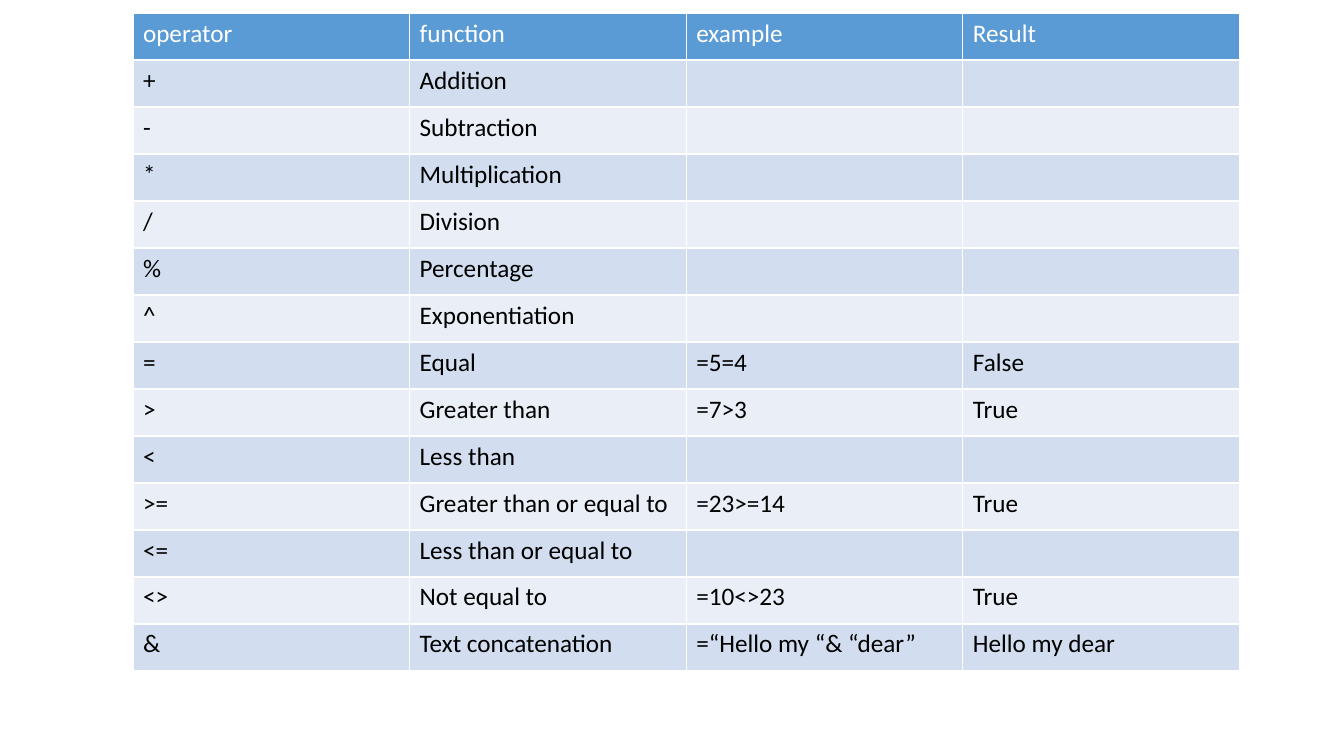
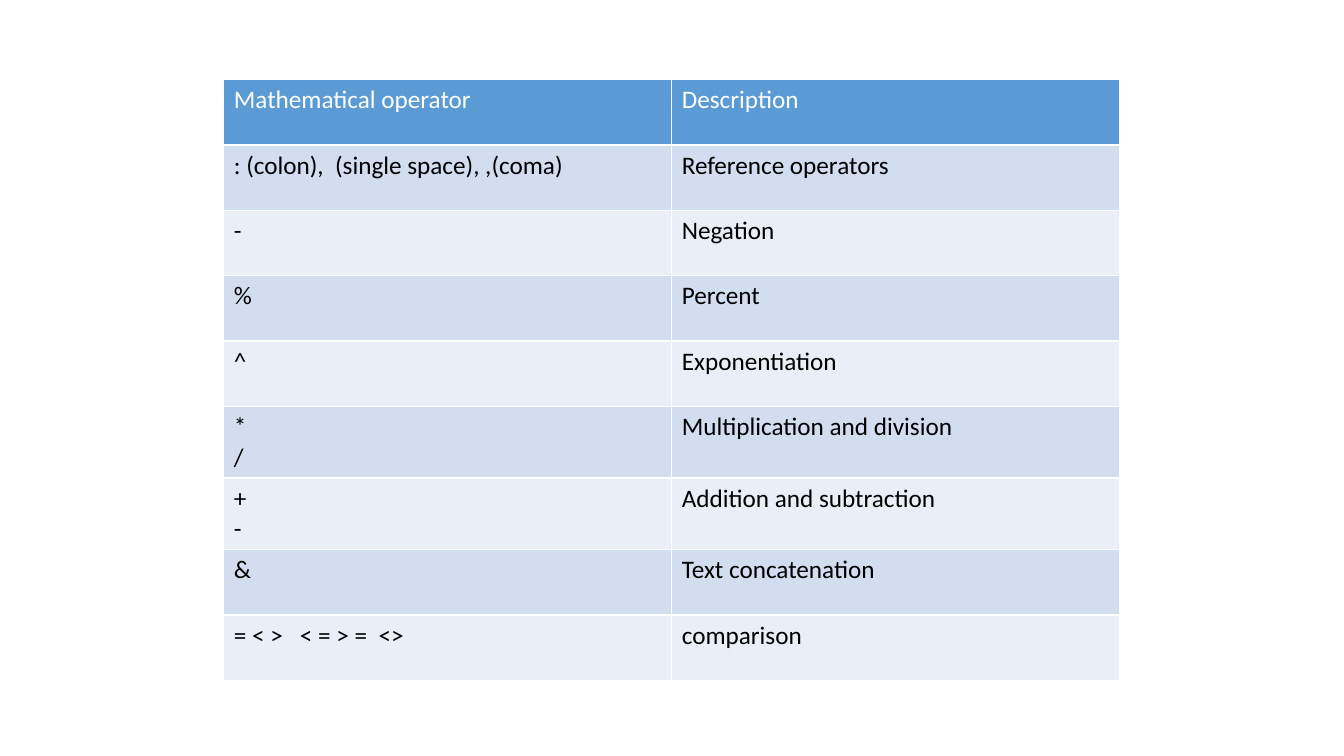
"""Build two slides with tables of spreadsheet operators."""
from pptx import Presentation
from pptx.dml.color import RGBColor
from pptx.util import Cm, Pt

BLANK_LAYOUT = 6

OPERATORS = [
    ("operator", "function", "example", "Result"),
    ("+", "Addition", "", ""),
    ("-", "Subtraction", "", ""),
    ("*", "Multiplication", "", ""),
    ("/", "Division", "", ""),
    ("%", "Percentage", "", ""),
    ("^", "Exponentiation", "", ""),
    ("=", "Equal", "=5=4", "False"),
    (">", "Greater than", "=7>3", "True"),
    ("<", "Less than", "", ""),
    (">=", "Greater than or equal to", "=23>=14", "True"),
    ("<=", "Less than or equal to", "", ""),
    ("<>", "Not equal to", "=10<>23", "True"),
    ("&", "Text concatenation", "=“Hello my “& “dear”", "Hello my dear"),
]

PRECEDENCE = [
    ("Mathematical operator", "Description"),
    (": (colon),  (single space), ,(coma)", "Reference operators"),
    ("-", "Negation"),
    ("%", "Percent"),
    ("^", "Exponentiation"),
    ("*\n/", "Multiplication and division"),
    ("+\n-", "Addition and subtraction"),
    ("&", "Text concatenation"),
    ("= < >   < = > =  <>", "comparison"),
]


def color(value):
    """Return the colour for a hex string."""
    return RGBColor.from_string(value)


class Deck:
    """Hold the presentation, its style and the current slide."""

    header_fill = "5B9BD5"
    band_fills = ("EAEFF7", "D2DEEF")
    header_text = "FFFFFF"
    body_text = "000000"
    text_format = {"name": "Calibri", "size": Pt(18), "bold": False}

    def __init__(self):
        """Start a widescreen presentation."""
        self.presentation = Presentation()
        self.presentation.slide_width = Cm(33.87)
        self.presentation.slide_height = Cm(19.05)
        self.slide = None

    def add_slide(self):
        """Add a blank slide and make it current."""
        layout = self.presentation.slide_layouts[BLANK_LAYOUT]
        self.slide = self.presentation.slides.add_slide(layout)

    def add_table(self, rows, left, top, width, height):
        """Add a table with a header row and banded body rows."""
        shape = self.slide.shapes.add_table(
            len(rows), len(rows[0]), Cm(left), Cm(top), Cm(width), Cm(height))
        for row_index, row in enumerate(rows):
            is_header = row_index == 0
            fill = self.header_fill if is_header else self.band_fills[row_index % 2]
            text_color = self.header_text if is_header else self.body_text
            for column_index, text in enumerate(row):
                cell = shape.table.cell(row_index, column_index)
                self.format_cell(cell, text, fill, text_color)

    def format_cell(self, cell, text, fill, text_color):
        """Fill a cell and set its text."""
        cell.fill.solid()
        cell.fill.fore_color.rgb = color(fill)
        cell.text = text
        for paragraph in cell.text_frame.paragraphs:
            for run in paragraph.runs:
                for name, value in self.text_format.items():
                    setattr(run.font, name, value)
                run.font.color.rgb = color(text_color)


def main():
    """Build and save the slides."""
    deck = Deck()
    deck.add_slide()
    deck.add_table(OPERATORS, left=3.35, top=0.33, width=27.89, height=16.58)
    deck.add_slide()
    deck.add_table(PRECEDENCE, left=5.64, top=2.01, width=22.58, height=14.82)
    deck.presentation.save("out.pptx")


if __name__ == "__main__":
    main()
